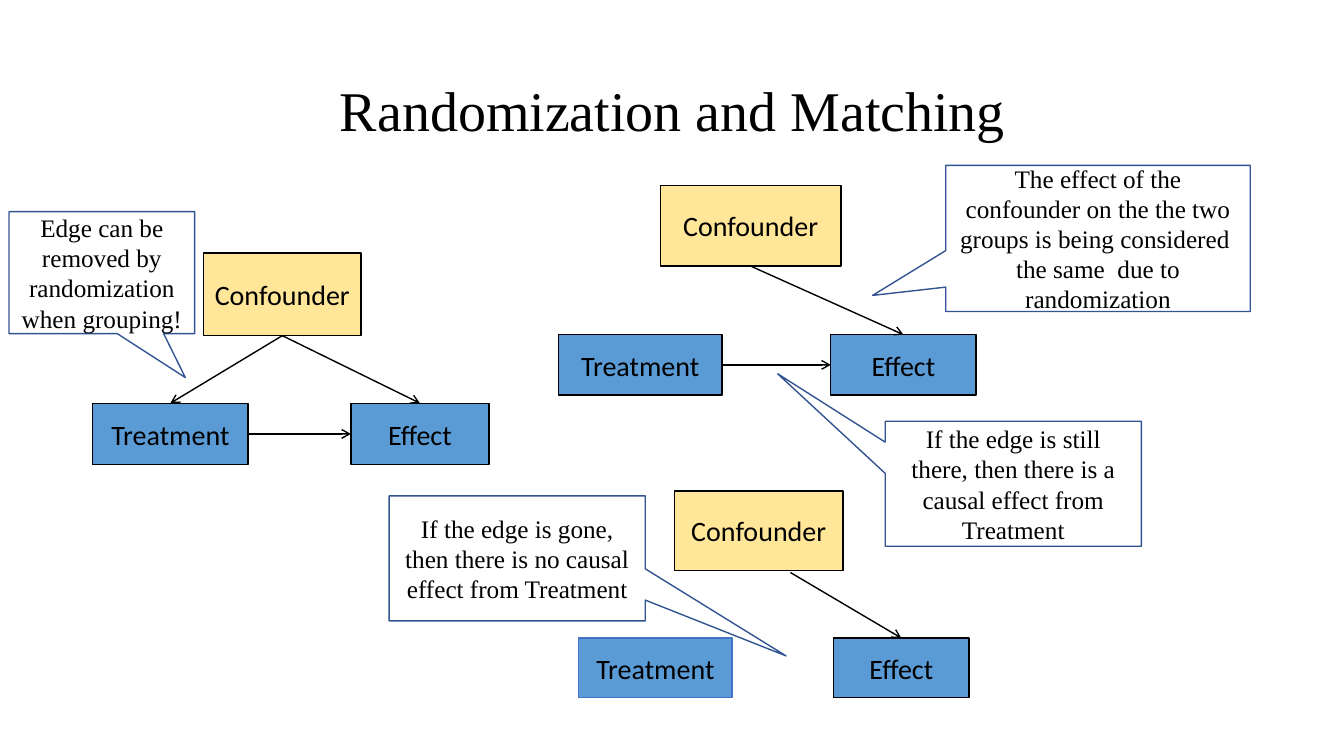
from lxml import etree
from pptx import Presentation
from pptx.dml.color import RGBColor
from pptx.enum.shapes import MSO_CONNECTOR, MSO_SHAPE
from pptx.enum.text import MSO_ANCHOR, PP_ALIGN
from pptx.oxml.ns import qn
from pptx.util import Inches, Pt

RECT = MSO_SHAPE.RECTANGLE
CALLOUT = MSO_SHAPE.RECTANGULAR_CALLOUT
LINE = MSO_CONNECTOR.STRAIGHT
CENTER = PP_ALIGN.CENTER
MIDDLE = MSO_ANCHOR.MIDDLE

BLACK = RGBColor(0x00, 0x00, 0x00)
WHITE = RGBColor(0xFF, 0xFF, 0xFF)
BLUE = RGBColor(0x5B, 0x9B, 0xD5)
GOLD = RGBColor(0xFF, 0xE6, 0x99)
NAVY = RGBColor(0x32, 0x54, 0x91)
ROYAL = RGBColor(0x44, 0x72, 0xC4)

SERIF = "Times New Roman"
SANS = "Calibri"

# Connection sites of a rectangle
TOP, LEFT, BOTTOM, RIGHT = range(4)


class Board:
    def __init__(self, deck):
        self.slide = deck.slides.add_slide(deck.slide_layouts[5])
        self.shapes = self.slide.shapes

    def label(self, shape, text, font, size):
        frame = shape.text_frame
        frame.word_wrap = True
        frame.vertical_anchor = MIDDLE
        para = frame.paragraphs[0]
        para.alignment = CENTER
        run = para.add_run()
        run.text = text
        run.font.name = font
        run.font.size = Pt(size)
        run.font.color.rgb = BLACK
        return para

    def title(self, text, spot):
        shape = self.shapes.title
        shape.left, shape.top, shape.width, shape.height = map(Inches, spot)
        self.label(shape, text, SERIF, 40).line_spacing = 0.9

    def shape(self, kind, spot, fill, edge):
        shape = self.shapes.add_shape(kind, *map(Inches, spot))
        shape.shadow.inherit = False
        shape.fill.solid()
        shape.fill.fore_color.rgb = fill
        shape.line.color.rgb = edge
        shape.line.width = Pt(1)
        return shape

    def node(self, text, spot, fill=BLUE, edge=BLACK):
        shape = self.shape(RECT, spot, fill, edge)
        shape.text_frame.margin_left = shape.text_frame.margin_right = Inches(0.05)
        self.label(shape, text, SANS, 20)
        return shape

    def note(self, text, spot, tip):
        shape = self.shape(CALLOUT, spot, WHITE, NAVY)
        shape.adjustments[0], shape.adjustments[1] = tip
        self.label(shape, text, SERIF, 18)

    def arrow(self, start, end, sites=None):
        """Join two nodes at their sites, or a point to the top of a node."""
        line = self.shapes.add_connector(LINE, 0, 0, 0, 0)
        if sites:
            line.begin_connect(start, sites[0])
            line.end_connect(end, sites[1])
        else:
            line.begin_x, line.begin_y = map(Inches, start)
            line.end_connect(end, TOP)
        line.line.color.rgb = BLACK
        line.line.width = Pt(1)
        props = line._element.spPr
        etree.SubElement(props.find(qn("a:ln")), qn("a:tailEnd"), type="arrow")
        etree.SubElement(props, qn("a:effectLst"))

    def graph(self, cause, treat, effect, edge=BLACK):
        """Draw the three nodes of one causal graph."""
        return (self.node("Confounder", cause, GOLD),
                self.node("Treatment", treat, edge=edge),
                self.node("Effect", effect))


def main():
    deck = Presentation()
    deck.slide_width, deck.slide_height = Inches(13.33), Inches(7.5)
    board = Board(deck)
    board.title("Randomization and Matching", (0.92, 0.4, 11.5, 1.45))

    # Full graph: all three edges
    cause, treat, effect = board.graph(
        (2.02, 2.51, 1.56, 0.82), (0.92, 4, 1.54, 0.61), (3.48, 4, 1.37, 0.61))
    board.arrow(cause, treat, (BOTTOM, TOP))
    board.arrow(cause, effect, (BOTTOM, TOP))
    board.arrow(treat, effect, (RIGHT, LEFT))

    # Randomized graph: treatment edge remains
    cause, treat, effect = board.graph(
        (6.55, 1.84, 1.79, 0.8), (5.54, 3.32, 1.62, 0.6), (8.24, 3.32, 1.44, 0.6))
    board.arrow(cause, effect, (BOTTOM, TOP))
    board.arrow(treat, effect, (RIGHT, LEFT))

    # Randomized graph: treatment edge gone
    cause, treat, effect = board.graph(
        (6.69, 4.87, 1.67, 0.79), (5.74, 6.33, 1.52, 0.59),
        (8.27, 6.33, 1.34, 0.59), ROYAL)
    board.arrow((7.84, 5.68), effect)

    # Callouts
    board.note("Edge can be removed by randomization when grouping!",
               (0.09, 2.1, 1.84, 1.21), (0.45, 0.86))
    board.note("The effect of the confounder on the the two groups is being "
               "considered  the same  due to randomization",
               (9.38, 1.64, 3.02, 1.45), (-0.74, 0.39))
    board.note("If the edge is still there, then there is a causal effect "
               "from Treatment", (8.78, 4.18, 2.54, 1.24), (-0.92, -0.88))
    board.note("If the edge is gone, then there is no causal effect "
               "from Treatment", (3.86, 4.92, 2.54, 1.24), (1.05, 0.78))

    deck.save("out.pptx")


if __name__ == "__main__":
    main()
